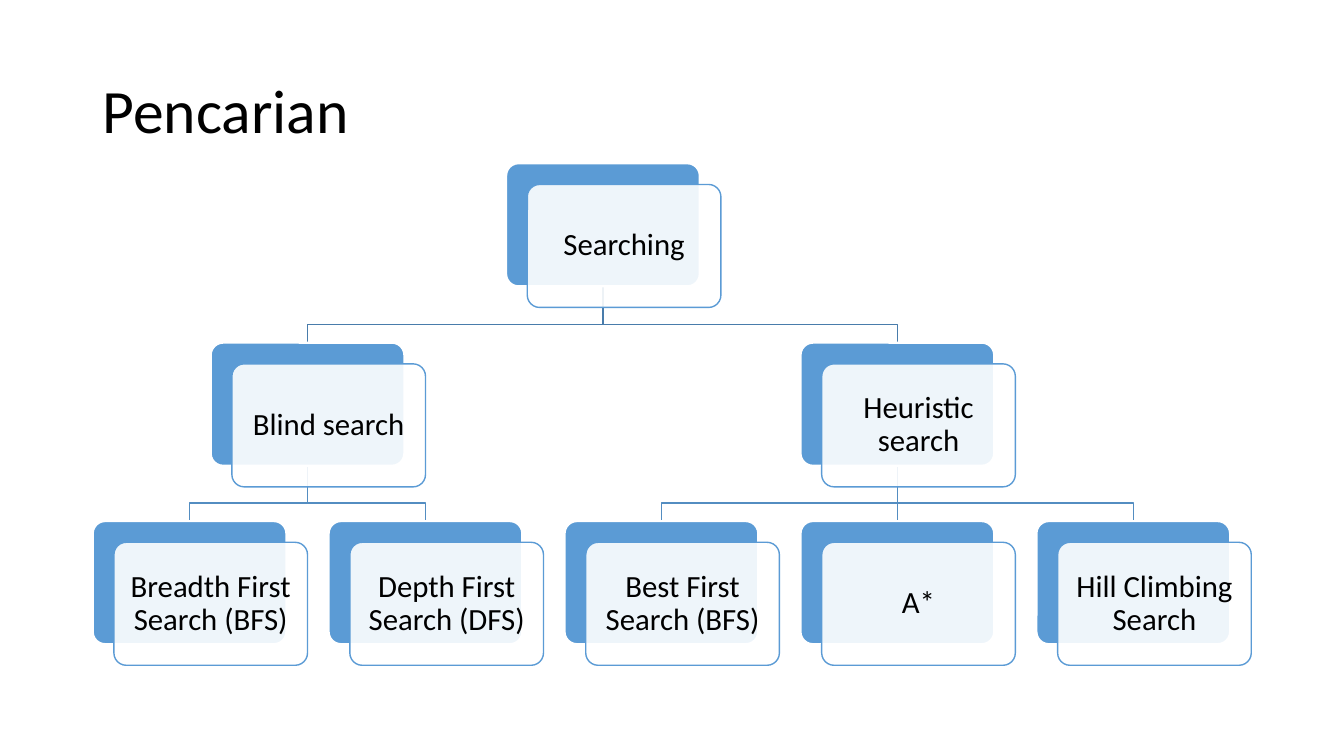
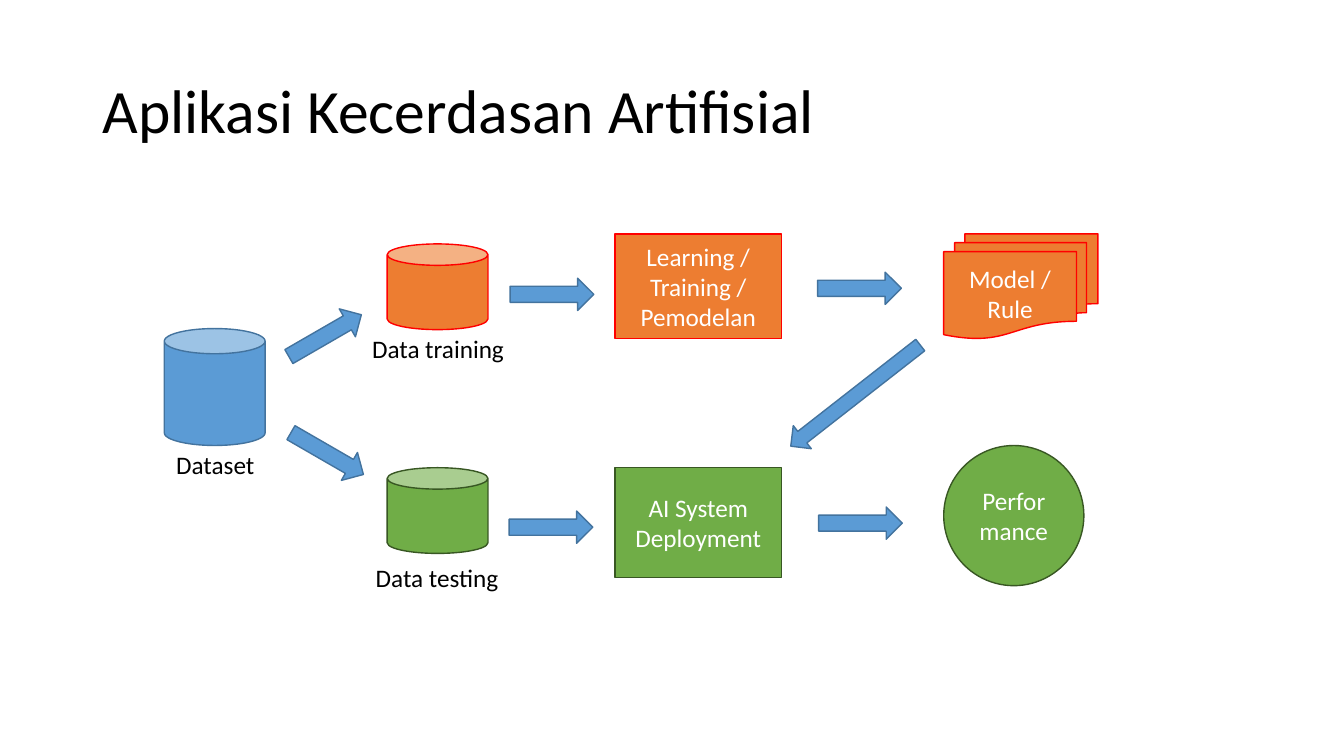
from lxml import etree
from pptx import Presentation, util as u
from pptx.dml.color import RGBColor
from pptx.enum import shapes, text
from pptx.oxml.ns import qn

PX = 9144
C = {
    "black": "000000", "white": "FFFFFF",
    "blue": "5B9BD5", "blue_line": "43739E",
    "orange": "ED7D31", "red": "FF0000",
    "green": "70AD47", "green_line": "385723",
    "link_top": "497CAB", "link_low": "538DC1",
}
G = shapes.MSO_SHAPE
MID = text.MSO_ANCHOR.MIDDLE
CENTER = text.PP_ALIGN.CENTER
STYLES = {
    "title": {"frame": {"word_wrap": True, "vertical_anchor": MID},
              "para": {"line_spacing": 0.9}, "size": 44, "color": "black"},
    "card": {"frame": {"word_wrap": True, "vertical_anchor": MID,
                       "margin_left": 13 * PX, "margin_right": 13 * PX},
             "para": {"line_spacing": 0.9, "alignment": CENTER},
             "size": 22, "color": "black"},
    "step": {"frame": {"word_wrap": True, "vertical_anchor": MID},
             "para": {"alignment": CENTER}, "size": 18, "color": "white"},
    "label": {"frame": {"word_wrap": False},
              "para": {"alignment": CENTER}, "size": 18, "color": "black"},
}


def write(sp, words, style):
    st = STYLES[style]
    tf = sp.text_frame
    p = tf.paragraphs[0]
    r = p.add_run()
    r.text = words
    font = {"name": "Calibri", "size": u.Pt(st["size"])}
    for obj, fmt in ((tf, st["frame"]), (p, st["para"]), (r.font, font)):
        for key, value in fmt.items():
            setattr(obj, key, value)
    r.font.color.rgb = RGBColor.from_string(C[st["color"]])


def draw(s, kind, box, fill, line, width=1):
    sp = s.shapes.add_shape(kind, *(v * PX for v in box))
    sp.shadow.inherit = False
    sp.fill.solid()
    sp.fill.fore_color.rgb = RGBColor.from_string(C[fill])
    sp.line.color.rgb = RGBColor.from_string(C[line])
    sp.line.width = u.Pt(width)
    return sp


prs = Presentation()
prs.slide_width, prs.slide_height = 1333 * PX, 750 * PX

slides = []
for title in ("Pencarian", "Aplikasi Kecerdasan Artifisial"):
    s = prs.slides.add_slide(prs.slide_layouts[6])
    write(s.shapes.add_textbox(92 * PX, 40 * PX, 1150 * PX, 145 * PX), title, "title")
    slides.append(s)
tree, flow = slides

CARD_W, CARD_H, OFFSET = 192, 122, 21
COL_X, COL_STEP = 92, 234
ROW_Y = [162, 340, 517]
BUS_GAP = 18
nodes = [
    ("Searching", 1.75, 0, None),
    ("Blind search", 0.5, 1, 0),
    ("Breadth First Search (BFS)", 0, 2, 1),
    ("Depth First Search (DFS)", 1, 2, 1),
    ("Heuristic search", 3, 1, 0),
    ("Best First Search (BFS)", 2, 2, 4),
    ("A*", 3, 2, 4),
    ("Hill Climbing Search", 4, 2, 4),
]
lefts = [round(COL_X + col * COL_STEP) for _, col, _, _ in nodes]

for i, (_, _, row, parent) in enumerate(nodes):
    if parent is None:
        continue
    x1, x2 = lefts[parent] + CARD_W // 2, lefts[i] + CARD_W // 2
    y1, y2 = ROW_Y[row - 1] + CARD_H, ROW_Y[row]
    if x1 == x2:
        sp = tree.shapes.add_connector(shapes.MSO_CONNECTOR.STRAIGHT,
                                       x1 * PX, y1 * PX, x2 * PX, y2 * PX)
        etree.SubElement(sp._element.spPr, qn("a:effectLst"))
    else:
        bus = y2 - BUS_GAP
        fb = tree.shapes.build_freeform(x1, y1, scale=PX)
        fb.add_line_segments([(x1, bus), (x2, bus), (x2, y2)], close=False)
        sp = fb.convert_to_shape()
        sp.fill.background()
        sp.shadow.inherit = False
    sp.line.color.rgb = RGBColor.from_string(C["link_top" if row == 1 else "link_low"])
    sp.line.width = u.Pt(1)

for (words, _, row, _), x in zip(nodes, lefts):
    y = ROW_Y[row]
    back = draw(tree, G.ROUNDED_RECTANGLE, (x, y, CARD_W, CARD_H), "blue", "white", 1.5)
    front = draw(tree, G.ROUNDED_RECTANGLE, (x + OFFSET, y + OFFSET, CARD_W, CARD_H),
                 "white", "blue")
    for sp in (back, front):
        sp.adjustments[0] = 0.1
    color = front._element.spPr.find(qn("a:solidFill"))[0]
    etree.SubElement(color, qn("a:alpha"), val="90000")
    write(front, words, "card")

for box, fill, line in (
    ((163, 326, 100, 116), "blue", "blue_line"),
    ((384, 242, 100, 85), "orange", "red"),
    ((384, 464, 100, 85), "green", "green_line"),
):
    draw(flow, G.CAN, box, fill, line)

for words, box in (
    ("Dataset", (164, 441, 99, 40)),
    ("Data training", (358, 326, 153, 40)),
    ("Data testing", (362, 553, 143, 40)),
):
    write(flow.shapes.add_textbox(*(v * PX for v in box)), words, "label")

for words, kind, box, fill, line in (
    ("Learning / Training / Pemodelan", G.RECTANGLE, (610, 232, 165, 104), "orange", "red"),
    ("Model / Rule", G.FLOWCHART_MULTIDOCUMENT, (936, 232, 153, 104), "orange", "red"),
    ("AI System Deployment", G.FLOWCHART_PROCESS, (610, 464, 165, 109), "green", "green_line"),
    ("Performance", G.OVAL, (936, 442, 139, 139), "green", "green_line"),
):
    write(draw(flow, kind, box, fill, line), words, "step")

for x, y, w, h, angle in (
    (281, 317, 83, 32, 330),
    (506, 276, 83, 32, 0),
    (811, 270, 83, 32, 0),
    (505, 507, 83, 32, 0),
    (812, 503, 83, 32, 0),
    (283, 434, 83, 32, 30),
    (767, 378, 163, 29, 142),
):
    draw(flow, G.RIGHT_ARROW, (x, y, w, h), "blue", "blue_line").rotation = angle

prs.save("out.pptx")
